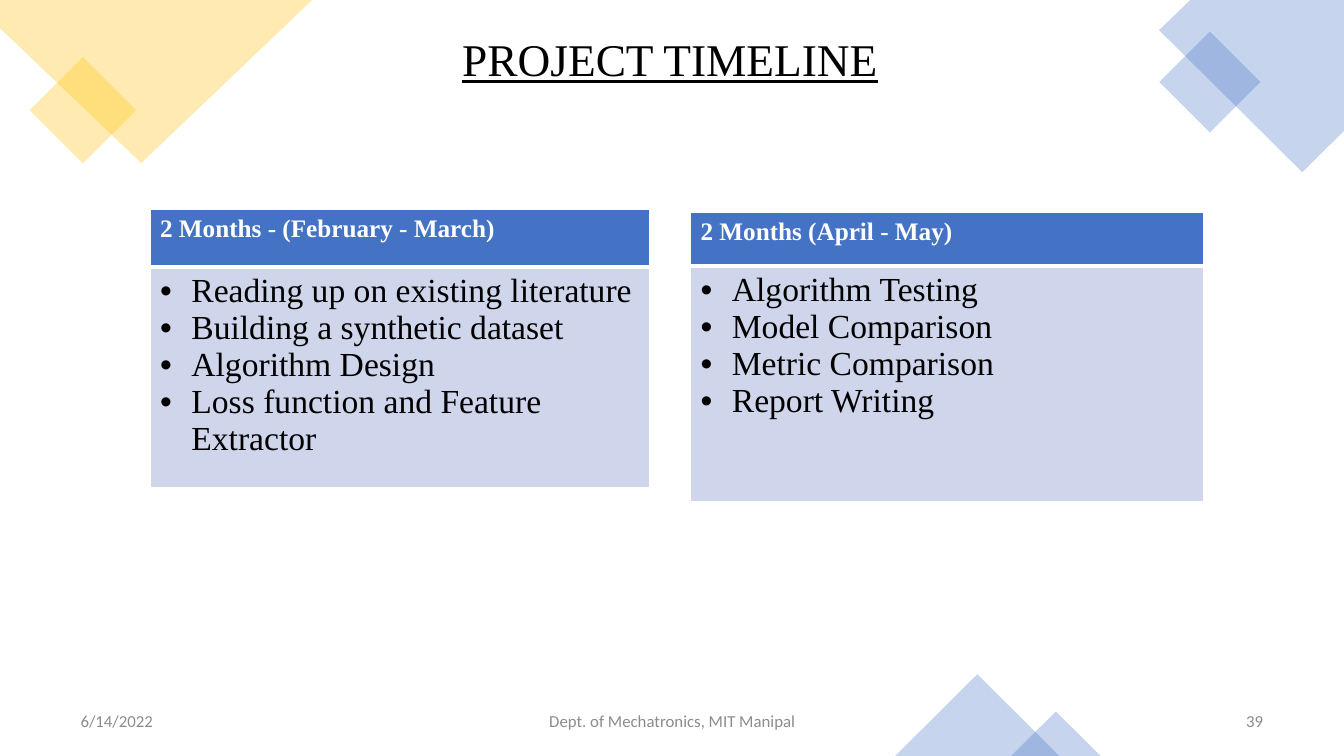
from dataclasses import dataclass

from lxml import etree
from pptx import Presentation
from pptx.dml.color import RGBColor
from pptx.enum.shapes import MSO_SHAPE
from pptx.enum.text import MSO_ANCHOR, PP_ALIGN
from pptx.oxml.ns import qn
from pptx.util import Cm, Pt

RECT, PEAK = MSO_SHAPE.RECTANGLE, MSO_SHAPE.ISOSCELES_TRIANGLE
LEFT, MID, RIGHT = PP_ALIGN.LEFT, PP_ALIGN.CENTER, PP_ALIGN.RIGHT
TOP, MIDDLE = MSO_ANCHOR.TOP, MSO_ANCHOR.MIDDLE
SERIF, SANS = "Times New Roman", "Calibri"
COLORS = {
    "gold": "FFC000", "blue": "4472C4", "pale": "CFD5EA",
    "black": "000000", "white": "FFFFFF", "gray": "8C8C8C",
}


@dataclass
class Box:
    left: float
    top: float
    width: float
    height: float

    def lengths(self) -> list:
        return [Cm(n) for n in (self.left, self.top, self.width, self.height)]


@dataclass
class Patch:
    kind: int
    box: Box
    color: str
    turn: int = 0


@dataclass
class Outline:
    points: list[tuple[float, float]]
    color: str


@dataclass
class Label:
    text: str
    box: Box
    align: int


@dataclass
class Phase:
    head: str
    tasks: list[str]
    left: float
    top: float
    width: float
    rows: tuple[float, float]


PATCHES = [
    Patch(RECT, Box(1.14, 1.83, 1.9, 1.9), "gold", 45),
    Patch(RECT, Box(29.59, 1.17, 1.8, 1.8), "blue", 45),
    Patch(PEAK, Box(22.56, 16.99, 4.14, 2.06), "blue"),
    Patch(PEAK, Box(25.48, 17.93, 2.26, 1.12), "blue"),
]
OUTLINES = [
    Outline([(0, 0), (7.87, 0), (3.56, 4.11), (0, 0.71)], "gold"),
    Outline([(30, 0), (33.87, 0), (33.87, 3.3), (32.82, 4.34), (29.21, 0.76)], "blue"),
]
LABELS = [
    Label("6/14/2022", Box(1.78, 17.65, 8.03, 1.02), LEFT),
    Label("Dept. of Mechatronics, MIT Manipal", Box(11.23, 17.65, 11.43, 1.02), MID),
    Label("39", Box(24.46, 17.65, 7.62, 1.02), RIGHT),
]
PHASES = [
    Phase("2 Months - (February - March)",
          ["Reading up on existing literature", "Building a synthetic dataset",
           "Algorithm Design", "Loss function and Feature Extractor"],
          3.78, 5.28, 12.6, (1.45, 5.56)),
    Phase("2 Months (April - May)",
          ["Algorithm Testing", "Model Comparison", "Metric Comparison", "Report Writing"],
          17.4, 5.36, 12.93, (1.35, 5.94)),
]


def rgb(name: str) -> RGBColor:
    return RGBColor.from_string(COLORS[name])


def style(par, face: str, size: float, color: str, bold: bool = False) -> None:
    font = par.font
    font.name, font.size, font.bold = face, Pt(size), bold
    font.color.rgb = rgb(color)


def tint(shape, color: str) -> None:
    """Fill a shape at 30 percent, with no line or shadow."""
    shape.shadow.inherit = False
    shape.line.fill.background()
    shape.fill.solid()
    shape.fill.fore_color.rgb = rgb(color)
    tone = shape.fill._xPr.find(qn("a:solidFill"))[0]
    etree.SubElement(tone, qn("a:alpha"), val="30000")


def add_patch(slide, patch: Patch) -> None:
    shape = slide.shapes.add_shape(patch.kind, *patch.box.lengths())
    shape.rotation = patch.turn
    tint(shape, patch.color)


def add_outline(slide, outline: Outline) -> None:
    first, *rest = [(Cm(x), Cm(y)) for x, y in outline.points]
    pen = slide.shapes.build_freeform(*first)
    pen.add_line_segments(rest)
    tint(pen.convert_to_shape(), outline.color)


def add_text(slide, label: Label, anchor: int):
    frame = slide.shapes.add_textbox(*label.box.lengths()).text_frame
    frame.word_wrap = True
    frame.vertical_anchor = anchor
    par = frame.paragraphs[0]
    par.text, par.alignment = label.text, label.align
    return par


def paint(cell, color: str, top: float, base: float) -> None:
    """Give a cell white borders, then its fill."""
    props = cell._tc.get_or_add_tcPr()
    for side, width in zip("LRTB", (1, 1, top, base)):
        line = etree.SubElement(props, qn(f"a:ln{side}"), w=str(Pt(width)))
        fill = etree.SubElement(line, qn("a:solidFill"))
        etree.SubElement(fill, qn("a:srgbClr"), val=COLORS["white"])
    cell.fill.solid()
    cell.fill.fore_color.rgb = rgb(color)


def add_bullet(par) -> None:
    props = par._p.get_or_add_pPr()
    props.set("marL", str(Cm(0.79)))
    props.set("indent", str(Cm(-0.79)))
    etree.SubElement(props, qn("a:buFont"), typeface="Arial")
    etree.SubElement(props, qn("a:buChar"), char="•")


def add_phase(slide, phase: Phase) -> None:
    box = Box(phase.left, phase.top, phase.width, sum(phase.rows))
    table = slide.shapes.add_table(2, 1, *box.lengths()).table
    for row, height in zip(table.rows, phase.rows):
        row.height = Cm(height)
    head, body = table.cell(0, 0), table.cell(1, 0)
    paint(head, "blue", 1, 3)
    paint(body, "pale", 3, 1)
    head.text = phase.head
    style(head.text_frame.paragraphs[0], SERIF, 18, "white", True)
    body.text = "\n".join(phase.tasks)
    for par in body.text_frame.paragraphs:
        add_bullet(par)
        style(par, SERIF, 24, "black")


def main() -> None:
    deck = Presentation()
    deck.slide_width, deck.slide_height = Cm(33.87), Cm(19.05)
    slide = deck.slides.add_slide(deck.slide_layouts[6])

    # Corner shapes
    for patch in PATCHES:
        add_patch(slide, patch)
    for outline in OUTLINES:
        add_outline(slide, outline)

    # Title
    title = add_text(slide, Label("PROJECT TIMELINE", Box(11.4, 0.81, 11.2, 1.85), LEFT), TOP)
    style(title, SERIF, 32.4, "black")
    title.font.underline = True
    title.line_spacing = 0.9

    # Footer
    for label in LABELS:
        par = add_text(slide, label, MIDDLE)
        style(par, SANS, 12, "gray")
        par.space_after = Pt(6)

    # Phase tables
    for phase in PHASES:
        add_phase(slide, phase)

    deck.save("out.pptx")


if __name__ == "__main__":
    main()
